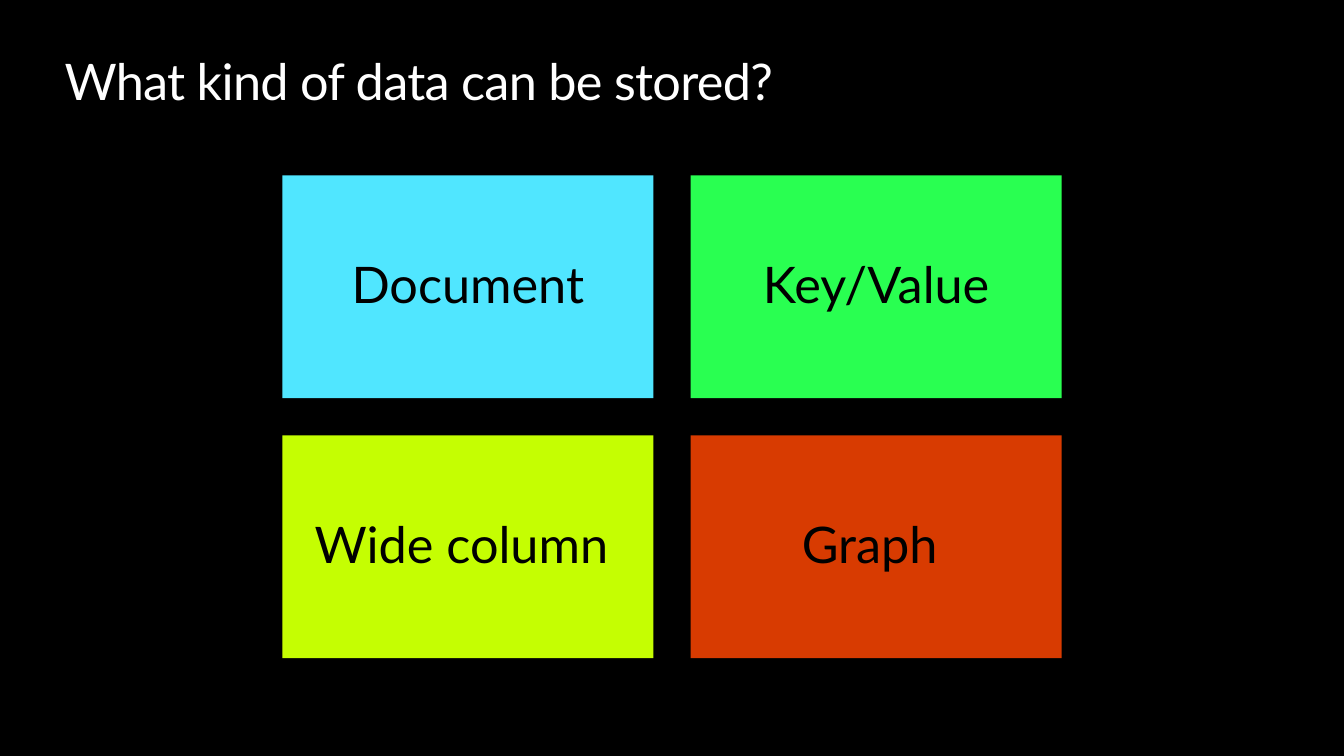
from pptx import Presentation
from pptx.dml.color import RGBColor
from pptx.enum.shapes import MSO_SHAPE
from pptx.enum.text import MSO_ANCHOR, PP_ALIGN
from pptx.util import Inches, Pt

COLORS = {
    "background": "000000",
    "title": "FFFFFF",
    "label": "000000",
    "document": "50E6FF",
    "key_value": "29FF51",
    "wide_column": "C5FE02",
    "graph": "D83B01",
}
STORES = [
    ("Document", "document"),
    ("Key/Value", "key_value"),
    ("Wide column ", "wide_column"),
    ("Graph ", "graph"),
]
COLUMNS = 2
GAP = 0.37


def color(key):
    """Return the named colour."""
    return RGBColor.from_string(COLORS[key])


def set_margins(frame, margin):
    """Wrap the text and give all four sides the same margin."""
    frame.word_wrap = True
    frame.margin_left = frame.margin_right = Inches(margin)
    frame.margin_top = frame.margin_bottom = Inches(margin)


def add_run(paragraph, text, color_key):
    """Add a run in the slide's one text style."""
    run = paragraph.add_run()
    run.text = text
    run.font.name = "Lato"
    run.font.size = Pt(36)
    run.font.color.rgb = color(color_key)
    return run


def add_title(slide, left, top, width, height):
    """Place the question at the top of the slide."""
    title = slide.shapes.add_textbox(
        Inches(left), Inches(top), Inches(width), Inches(height))
    set_margins(title.text_frame, 0)
    question = add_run(title.text_frame.paragraphs[0],
                       "What kind of data can be stored?", "title")
    question.font._element.set("spc", "-50")


def add_store(slide, label, fill_key, left, top, width, height):
    """Place one coloured tile with its centred label."""
    tile = slide.shapes.add_shape(
        MSO_SHAPE.RECTANGLE,
        Inches(left), Inches(top), Inches(width), Inches(height))
    tile.shadow.inherit = False
    tile.fill.solid()
    tile.fill.fore_color.rgb = color(fill_key)
    tile.line.fill.background()
    set_margins(tile.text_frame, 0.15)
    tile.text_frame.vertical_anchor = MSO_ANCHOR.MIDDLE
    paragraph = tile.text_frame.paragraphs[0]
    paragraph.alignment = PP_ALIGN.CENTER
    paragraph.line_spacing = 0.9
    add_run(paragraph, label, "label")


def add_store_grid(slide, left, top, width, height):
    """Divide the box into equal tiles, one per kind of store."""
    rows = len(STORES) // COLUMNS
    tile_width = (width - GAP * (COLUMNS - 1)) / COLUMNS
    tile_height = (height - GAP * (rows - 1)) / rows
    for index, (label, fill_key) in enumerate(STORES):
        row, column = divmod(index, COLUMNS)
        add_store(slide, label, fill_key,
                  left + column * (tile_width + GAP),
                  top + row * (tile_height + GAP),
                  tile_width, tile_height)


def main():
    """Build the slide and save it."""
    deck = Presentation()
    deck.slide_width, deck.slide_height = Inches(13.33), Inches(7.5)
    slide = deck.slides.add_slide(deck.slide_layouts[6])
    slide.background.fill.solid()
    slide.background.fill.fore_color.rgb = color("background")
    add_title(slide, 0.64, 0.5, 12.05, 0.61)
    add_store_grid(slide, 2.8, 1.74, 7.73, 4.79)
    deck.save("out.pptx")


if __name__ == "__main__":
    main()
